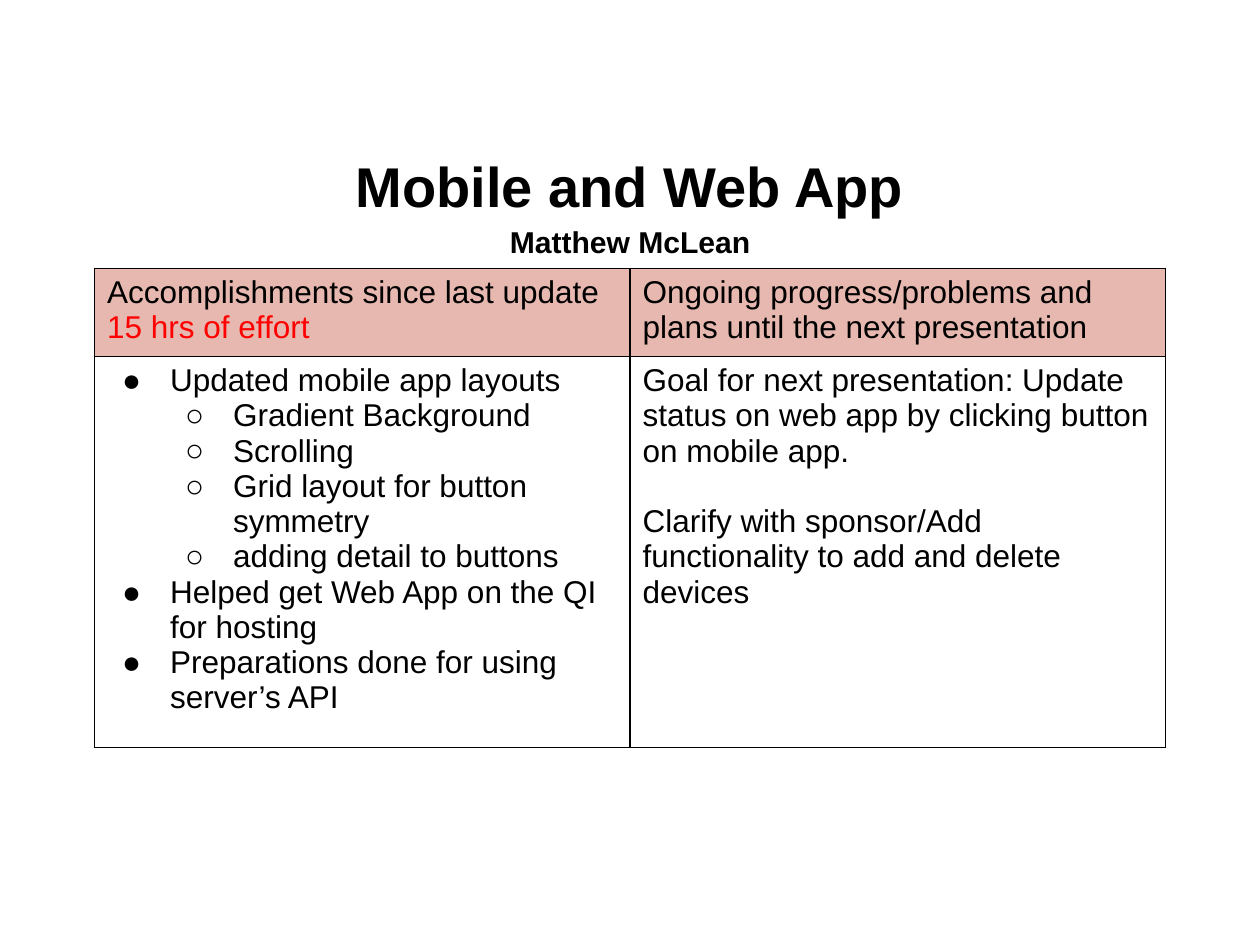
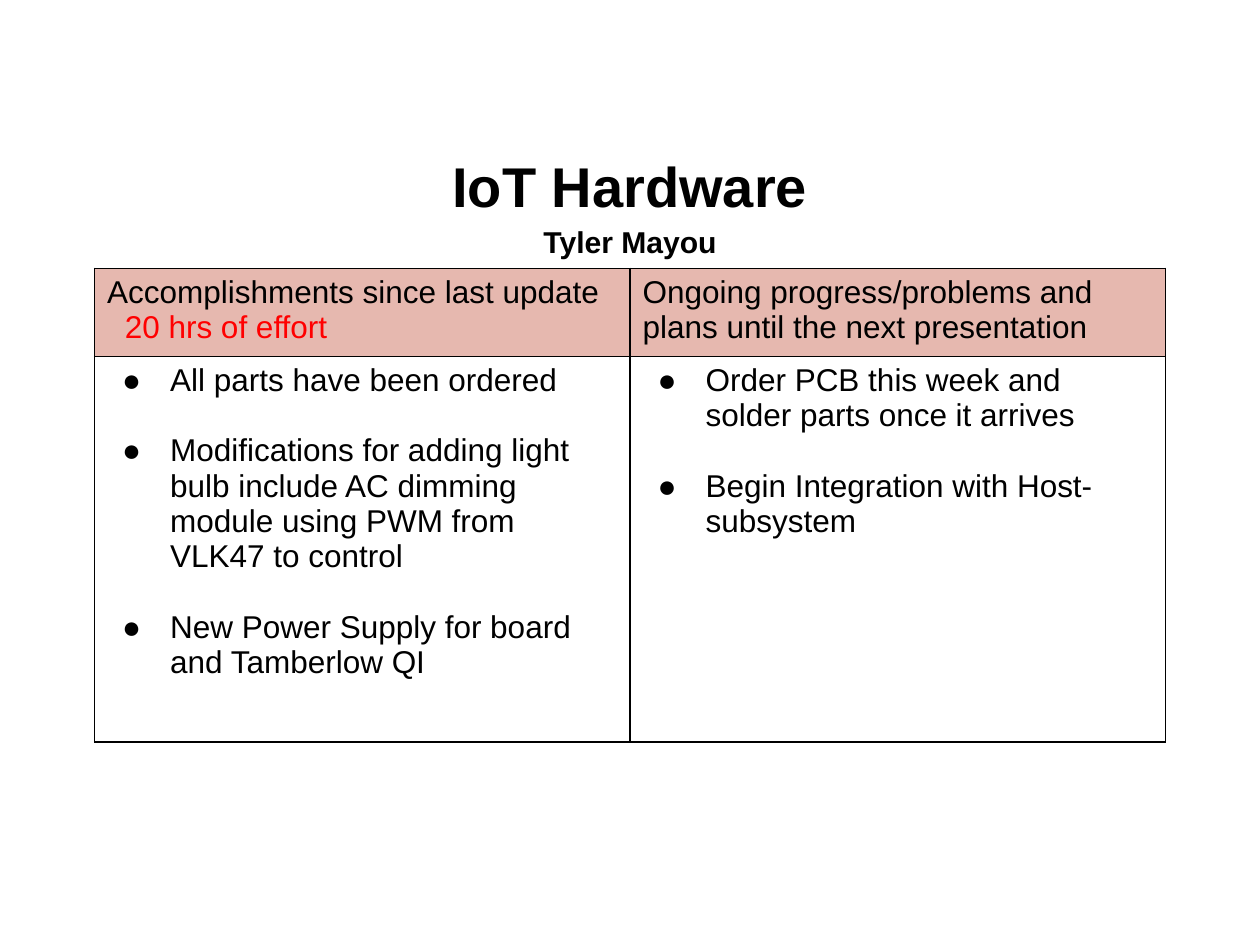
import pptx
import pptx.util
import pptx.dml.color
import pptx.enum.text
from pptx.oxml.ns import qn
from lxml import etree

# ---- Content ----
HEADS = ("Accomplishments since last update ",
         "Ongoing progress/problems and plans until the next presentation")
# Body item: (level, text); level None is plain text, 0 and 1 are bullets.
# "lead" is the number of blank lines above each column, "gap" between items.
SLIDES = [
    dict(title="Mobile and Web App", person="Matthew McLean",
         effort="15 hrs of effort", effort_indent=0, body_h=2.9,
         columns=[
             dict(lead=0, gap=0, items=[
                 (0, "Updated mobile app layouts"),
                 (1, "Gradient Background"),
                 (1, "Scrolling"),
                 (1, "Grid layout for button symmetry"),
                 (1, "adding detail to buttons"),
                 (0, "Helped get Web App on the QI for hosting"),
                 (0, "Preparations done for using server’s API")]),
             dict(lead=1, gap=1, items=[
                 (None, "Goal for next presentation: Update status on web app "
                        "by clicking button on mobile app."),
                 (None, "Clarify with sponsor/Add functionality to add and "
                        "delete devices")])]),
    dict(title="IoT Hardware", person="Tyler Mayou",
         effort="20 hrs of effort", effort_indent=0.14, body_h=3.06,
         columns=[
             dict(lead=0, gap=1, items=[
                 (0, "All parts have been ordered"),
                 (0, "Modifications for adding light bulb include AC dimming "
                     "module using PWM from VLK47 to control"),
                 (0, "New Power Supply for board and Tamberlow QI")]),
             dict(lead=0, gap=1, items=[
                 (0, "Order PCB this week and solder parts once it arrives"),
                 (0, "Begin Integration with Host-subsystem")])]),
]

# ---- Shared style ----
FONT, BLACK, RED, PINK = "Arial", "000000", "FF0000", "E6B8AF"
BODY_PT, LINE_PT = 18, 20.1
W, H = 10, 7.5
TITLE_BOX = (0.05 * W, 1.15, 0.9 * W, 0.88)
TABLE_X, TABLE_Y, HEAD_H = 0.075 * W, 2.13, 0.7
COL_W = (W - 2 * TABLE_X) / 2
BULLETS = "●○"
INDENT, HANG = 0.5, 0.38
Inches, Pt = pptx.util.Inches, pptx.util.Pt


def rgb(color):
    return pptx.dml.color.RGBColor.from_string(color)


def add_run(p, text, size=BODY_PT, color=BLACK, bold=False):
    r = p.add_run()
    r.text = text
    r.font.name, r.font.size, r.font.bold = FONT, Pt(size), bold
    r.font.color.rgb = rgb(color)


def set_indent(p, left, hang):
    pPr = p._p.get_or_add_pPr()
    pPr.set("marL", str(Inches(left)))
    pPr.set("indent", str(-Inches(hang)))
    return pPr


def set_bullet(p, level):
    p.level = level
    pPr = set_indent(p, INDENT * (level + 1), HANG)
    color = etree.SubElement(pPr, qn("a:buClr"))
    etree.SubElement(color, qn("a:srgbClr"), val=BLACK)
    etree.SubElement(pPr, qn("a:buFont"), typeface=FONT)
    etree.SubElement(pPr, qn("a:buChar"), char=BULLETS[level])


def set_borders(cell):
    tcPr = cell._tc.get_or_add_tcPr()
    for i, side in enumerate("LRTB"):
        ln = etree.Element(qn("a:ln" + side), w=str(Pt(1)))
        fill = etree.SubElement(ln, qn("a:solidFill"))
        etree.SubElement(fill, qn("a:srgbClr"), val=BLACK)
        tcPr.insert(i, ln)


def add_title(s, title, person):
    tf = s.shapes.add_textbox(*map(Inches, TITLE_BOX)).text_frame
    tf.word_wrap = True
    tf.vertical_anchor = pptx.enum.text.MSO_ANCHOR.MIDDLE
    for i, (text, size) in enumerate([(title, 32), (person, 17.2)]):
        p = tf.add_paragraph() if i else tf.paragraphs[0]
        p.alignment = pptx.enum.text.PP_ALIGN.CENTER
        p.line_spacing = 1.15
        add_run(p, text, size, bold=True)


def fill_body(cell, lead, gap, items):
    for i, (level, text) in enumerate(items):
        p = cell.text_frame.add_paragraph() if i else cell.text_frame.paragraphs[0]
        p.space_before = Pt((gap if i else lead) * LINE_PT)
        if level is not None:
            set_bullet(p, level)
        add_run(p, text)


def add_status_table(s, data):
    table = s.shapes.add_table(2, 2, Inches(TABLE_X), Inches(TABLE_Y), Inches(2 * COL_W),
                               Inches(HEAD_H + data["body_h"])).table
    table.first_row = table.horz_banding = False
    table.rows[0].height = Inches(HEAD_H)
    table.rows[1].height = Inches(data["body_h"])
    for c, head in enumerate(HEADS):
        table.columns[c].width = Inches(COL_W)
        top, body = table.cell(0, c), table.cell(1, c)
        # Header row; the effort wraps to the second line
        top.fill.solid()
        top.fill.fore_color.rgb = rgb(PINK)
        p = top.text_frame.paragraphs[0]
        add_run(p, head)
        if c == 0:
            set_indent(p, data["effort_indent"], data["effort_indent"])
            add_run(p, data["effort"], color=RED)
        # Body row
        body.fill.background()
        fill_body(body, **data["columns"][c])
        set_borders(top)
        set_borders(body)


# ---- Build ----
def main():
    prs = pptx.Presentation()
    prs.slide_width, prs.slide_height = Inches(W), Inches(H)
    for data in SLIDES:
        s = prs.slides.add_slide(prs.slide_layouts[6])
        add_title(s, data["title"], data["person"])
        add_status_table(s, data)
    prs.save("out.pptx")


if __name__ == "__main__":
    main()
